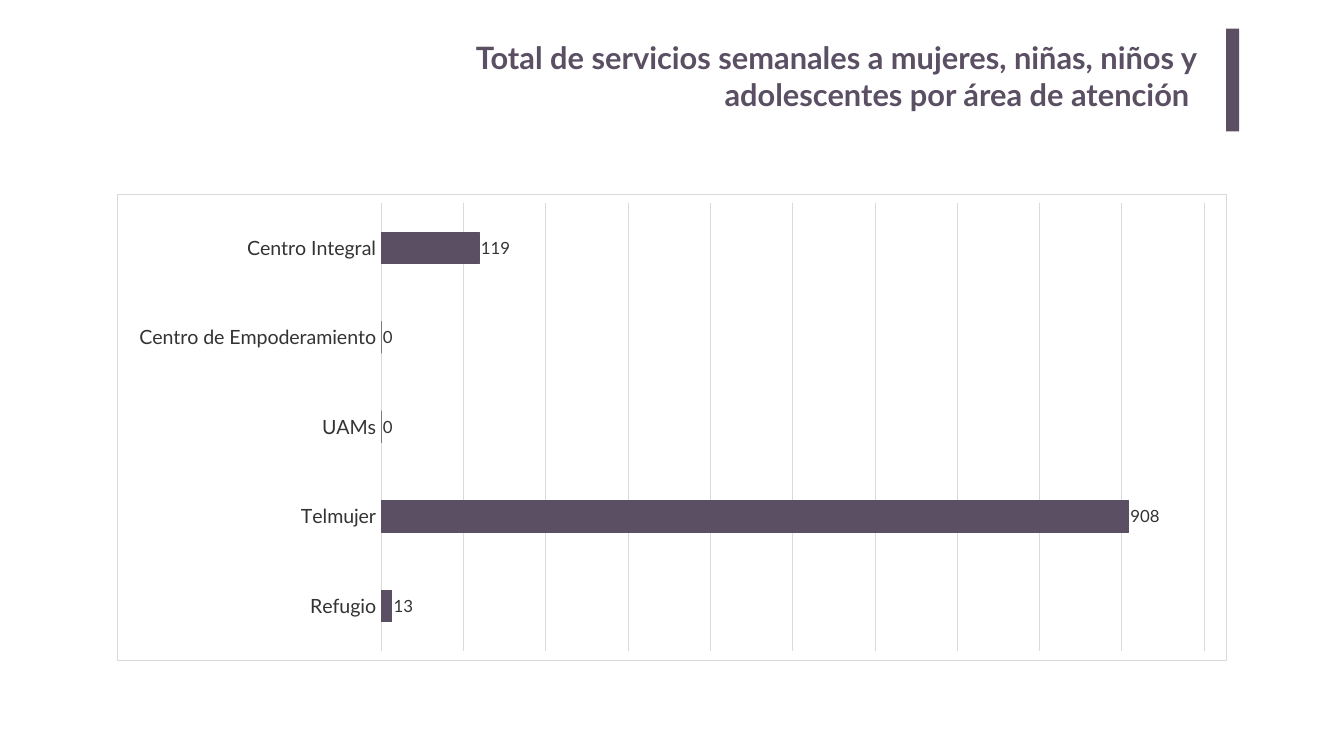
from lxml import etree
from pptx import Presentation
from pptx.chart.data import CategoryChartData
from pptx.dml.color import RGBColor
from pptx.enum.chart import XL_CHART_TYPE, XL_LABEL_POSITION, XL_TICK_LABEL_POSITION, XL_TICK_MARK
from pptx.enum.shapes import MSO_SHAPE
from pptx.enum.text import MSO_ANCHOR, MSO_AUTO_SIZE, PP_ALIGN
from pptx.util import Pt

BAR, OUT = XL_CHART_TYPE.BAR_CLUSTERED, XL_LABEL_POSITION.OUTSIDE_END
NO_TICK, LOW = XL_TICK_MARK.NONE, XL_TICK_LABEL_POSITION.LOW
RECT, TOP, RIGHT, FIXED = MSO_SHAPE.RECTANGLE, MSO_ANCHOR.TOP, PP_ALIGN.RIGHT, MSO_AUTO_SIZE.NONE

TITLE = "Total de servicios semanales a mujeres, niñas, niños y adolescentes por área de atención "
DATA = {
    "Centro Integral": 119,
    "Centro de Empoderamiento": 0,
    "UAMs": 0,
    "Telmujer": 908,
    "Refugio": 13,
}
PURPLE, GREY, INK, WHITE = "5B4F63", "D9D9D9", "333333", "FFFFFF"
SIZE = 1920.24, 1080
HEAD = 472.3, 48.2, 1252.8, 146.9
MARK = 1751.8, 41, 18.7, 146.9
PLOT = 167, 276.5, 1585.4, 666.7
FRAME = f"""<c:spPr xmlns:c="http://schemas.openxmlformats.org/drawingml/2006/chart"
 xmlns:a="http://schemas.openxmlformats.org/drawingml/2006/main">
<a:solidFill><a:srgbClr val="{WHITE}"/></a:solidFill>
<a:ln w="{Pt(0.75)}"><a:solidFill><a:srgbClr val="{GREY}"/></a:solidFill></a:ln></c:spPr>"""


def put(obj, **vals):
    """Set each named value on an object."""
    for name, val in vals.items():
        setattr(obj, name, val)


def paint(fill, tone):
    """Fill with one solid colour."""
    fill.solid()
    fill.fore_color.rgb = RGBColor.from_string(tone)


def style(font, size, tone, bold=False):
    """Format a font."""
    put(font, name="Lato", size=Pt(size), bold=bold)
    font.color.rgb = RGBColor.from_string(tone)


def rule(line, tone):
    """Draw a thin line in one colour."""
    line.width = Pt(0.75)
    paint(line.fill, tone)


def box(area):
    """Turn four numbers into point lengths."""
    return [Pt(part) for part in area]


def add_head(slide):
    """Place the title and the bar beside it."""
    head = slide.shapes.title
    put(head, **dict(zip(("left", "top", "width", "height"), box(HEAD))))
    frame = head.text_frame
    put(frame, text=TITLE, word_wrap=True, auto_size=FIXED, vertical_anchor=TOP,
        margin_left=Pt(14.4), margin_right=Pt(14.4), margin_top=Pt(7.2), margin_bottom=Pt(7.2))
    para = frame.paragraphs[0]
    para.alignment = RIGHT
    style(para.runs[0].font, 44, PURPLE, True)
    mark = slide.shapes.add_shape(RECT, *box(MARK))
    mark.shadow.inherit = False
    paint(mark.fill, PURPLE)
    mark.line.fill.background()


def add_bars(slide):
    """Place the bar chart of services by area."""
    data = CategoryChartData()
    data.categories = list(DATA)
    data.add_series("Series 1", list(DATA.values()))
    chart = slide.shapes.add_chart(BAR, *box(PLOT), data).chart
    put(chart, has_legend=False, has_title=False)
    style(chart.font, 10, "000000")
    chart.plots[0]._element.getparent().getparent().addnext(etree.fromstring(FRAME))

    cats, vals = chart.category_axis, chart.value_axis
    put(cats, reverse_order=True, major_tick_mark=NO_TICK, minor_tick_mark=NO_TICK,
        tick_label_position=LOW, has_major_gridlines=False)
    style(cats.tick_labels.font, 28, INK)
    rule(cats.format.line, GREY)
    put(vals, visible=False, has_major_gridlines=True, minimum_scale=0,
        maximum_scale=1000, major_unit=100)
    rule(vals.major_gridlines.format.line, GREY)

    plot = chart.plots[0]
    put(plot, gap_width=182, vary_by_categories=False, has_data_labels=True)
    put(plot.data_labels, show_value=True, position=OUT)
    style(plot.data_labels.font, 24, INK)
    bars = plot.series[0]
    bars.invert_if_negative = False
    paint(bars.format.fill, PURPLE)
    rule(bars.format.line, PURPLE)


def main():
    """Build and save the slide."""
    deck = Presentation()
    put(deck, **dict(zip(("slide_width", "slide_height"), box(SIZE))))
    slide = deck.slides.add_slide(deck.slide_layouts[5])
    paint(slide.background.fill, WHITE)
    add_head(slide)
    add_bars(slide)
    deck.save("out.pptx")


if __name__ == "__main__":
    main()
